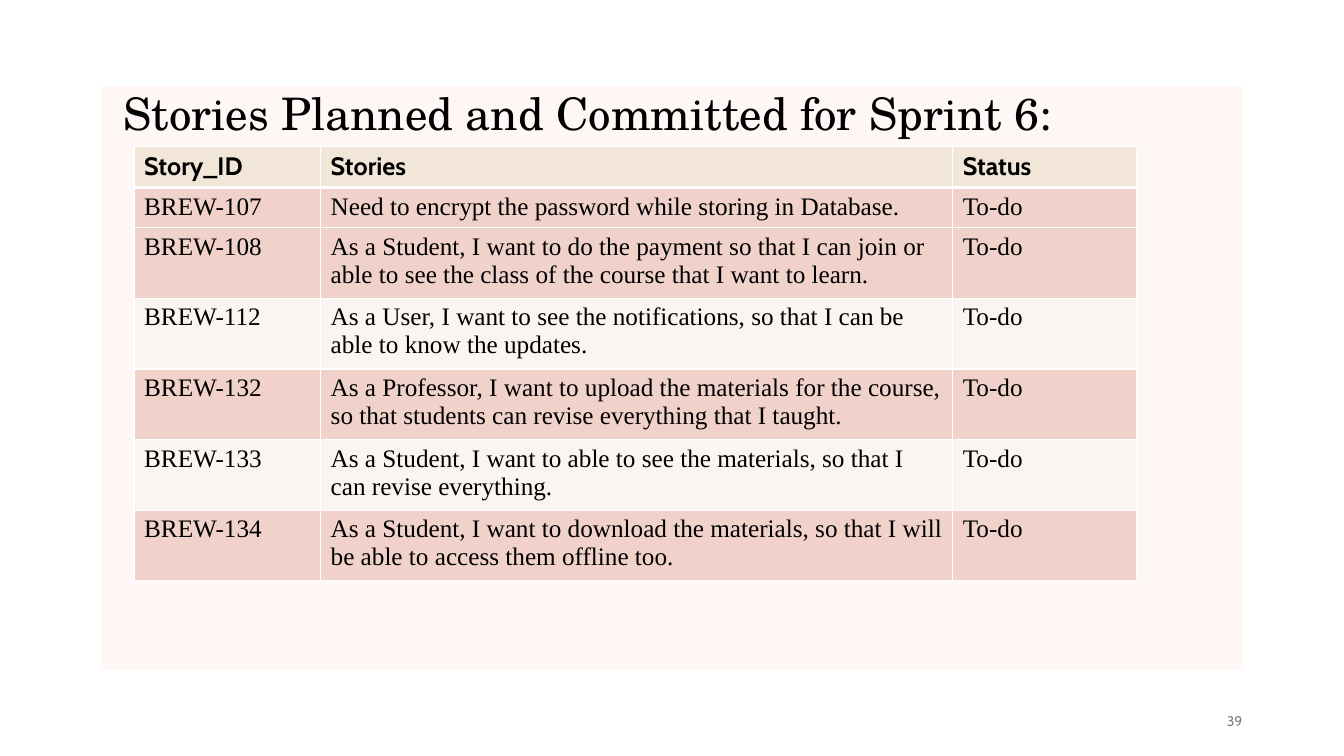
"""Build the slide listing the stories planned for Sprint 6."""
import lxml.etree
import pptx
import pptx.dml.color
import pptx.enum.shapes
import pptx.enum.text
import pptx.oxml.ns
import pptx.util

PX = 9144
HUES = {"panel": "FFF7F5", "head": "F2E6D8", "pink": "F1D2CB",
        "cream": "FAF5F0", "line": "FFFFFF", "ink": "000000", "gray": "808080"}
ALIGN = pptx.enum.text.PP_ALIGN
MID = pptx.enum.text.MSO_ANCHOR.MIDDLE
qn = pptx.oxml.ns.qn


def write(frame, text, face, size, hue="ink", bold=False, align=ALIGN.LEFT, space=None):
    frame.word_wrap = True
    para = frame.paragraphs[0]
    para.alignment = align
    para.line_spacing = space
    run = para.add_run()
    run.text = text
    run.font.name = face
    run.font.size = pptx.util.Pt(size)
    run.font.bold = bold
    run.font.color.rgb = pptx.dml.color.RGBColor.from_string(HUES[hue])


def edge(cell, widths):
    props = cell._tc.get_or_add_tcPr()
    for spot, (side, width) in enumerate(widths.items()):
        line = lxml.etree.Element(qn(f"a:ln{side}"), w=str(pptx.util.Pt(width)))
        fill = lxml.etree.SubElement(line, qn("a:solidFill"))
        lxml.etree.SubElement(fill, qn("a:srgbClr"), val=HUES["line"])
        props.insert(spot, line)


deck = pptx.Presentation()
deck.slide_width = 1333 * PX
deck.slide_height = 750 * PX
slide = deck.slides.add_slide(deck.slide_layouts[6])
shapes = slide.shapes

panel = shapes.add_shape(pptx.enum.shapes.MSO_SHAPE.RECTANGLE,
                         100 * PX, 85 * PX, 1133 * PX, 580 * PX)
panel.shadow.inherit = False
panel.line.fill.background()
panel.fill.solid()
panel.fill.fore_color.rgb = pptx.dml.color.RGBColor.from_string(HUES["panel"])
tint = panel._element.spPr.find(qn("a:solidFill")).find(qn("a:srgbClr"))
lxml.etree.SubElement(tint, qn("a:alpha"), val="95000")

page = shapes.add_textbox(942 * PX, 695 * PX, 300 * PX, 40 * PX).text_frame
page.vertical_anchor = MID
write(page, "39", "Cabin", 10, hue="gray", align=ALIGN.RIGHT)

title = shapes.add_textbox(113 * PX, 93 * PX, 1200 * PX, 44 * PX).text_frame
title.vertical_anchor = MID
write(title, "Stories Planned and Committed for Sprint 6:", "TeX Gyre Schola", 32, space=0.9)

stories = [
    ("BREW-107", "Need to encrypt the password while storing in Database."),
    ("BREW-108", "As a Student, I want to do the payment so that I can join or "
                 "able to see the class of the course that I want to learn."),
    ("BREW-112", "As a User, I want to see the notifications, so that I can be "
                 "able to know the updates."),
    ("BREW-132", "As a Professor, I want to upload the materials for the course, "
                 "so that students can revise everything that I taught."),
    ("BREW-133", "As a Student, I want to able to see the materials, so that I "
                 "can revise everything."),
    ("BREW-134", "As a Student, I want to download the materials, so that I will "
                 "be able to access them offline too."),
]
rows = [("Story_ID", "Stories", "Status")] + [(*story, "To-do") for story in stories]
wide = [185, 627, 182]
tall = [41, 37, 68, 69, 69, 69, 68]

table = shapes.add_table(len(rows), len(wide), 133 * PX, 145 * PX,
                         sum(wide) * PX, sum(tall) * PX).table
for col, width in zip(table.columns, wide):
    col.width = width * PX
for r, (row, height) in enumerate(zip(rows, tall)):
    table.rows[r].height = height * PX
    head = r == 0
    hue = "head" if head else "cream" if r > 1 and r % 2 else "pink"
    for c, text in enumerate(row):
        cell = table.cell(r, c)
        cell.fill.solid()
        cell.fill.fore_color.rgb = pptx.dml.color.RGBColor.from_string(HUES[hue])
        edge(cell, {"L": 1, "R": 1, "T": 3 if r == 1 else 1, "B": 3 if head else 1})
        write(cell.text_frame, text, "Cabin" if head else "Times New Roman", 18, bold=head)

deck.save("out.pptx")
